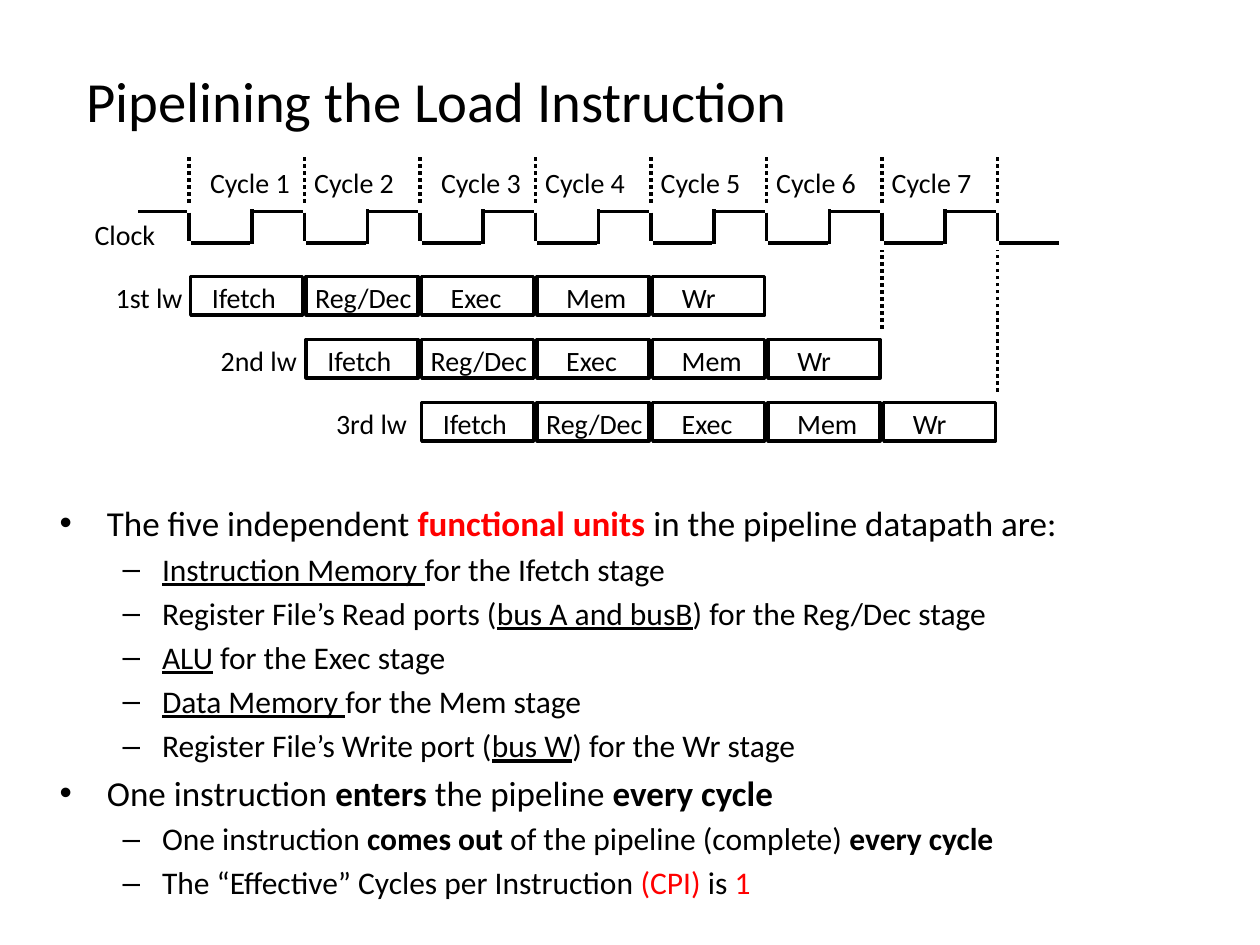
"""Build the slide on pipelining the load instruction."""
from lxml.etree import SubElement
from pptx import Presentation
from pptx.dml.color import RGBColor as Rgb
from pptx.enum.dml import MSO_LINE as Dash
from pptx.enum.shapes import MSO_CONNECTOR as Conn, MSO_SHAPE as Shape
from pptx.enum.text import MSO_ANCHOR as Anchor, MSO_AUTO_SIZE as Fit, PP_ALIGN as Align
from pptx.oxml.ns import qn
from pptx.util import Pt

FONT = "Calibri"
HUES = {"ink": "000000", "red": "FF0000"}
START, STEP, DROP = 108, 66, 36
TICKS = 8
STAGES = [("Ifetch", 6, 52), ("Reg/Dec", -1, 71), ("Exec", 10.5, 44),
          ("Mem", 10.5, 50), ("Wr", 10.5, 34)]
LOADS = [("1st lw", 59, 54), ("2nd lw", 119, 60), ("3rd lw", 185, 55.5)]
CYCLES = [5, -1.5, 5, -1.5, -1.5, -1.5, -1.5]
POINTS = [
    (0, [("The five independent ", ""), ("functional units ", "b red"),
         ("in the pipeline datapath are:", "")]),
    (1, [("Instruction Memory ", "u"), ("for the Ifetch stage", "")]),
    (1, [("Register File’s Read ports (", ""), ("bus A and busB", "u"),
         (") for the Reg/Dec stage", "")]),
    (1, [("ALU", "u"), (" for the Exec stage", "")]),
    (1, [("Data Memory ", "u"), ("for the Mem stage", "")]),
    (1, [("Register File’s Write port (", ""), ("bus W", "u"),
         (") for the Wr stage", "")]),
    (0, [("One instruction ", ""), ("enters", "b"), (" the pipeline ", ""),
         ("every cycle", "b")]),
    (1, [("One instruction ", ""), ("comes out ", "b"),
         ("of the pipeline (complete) ", ""), ("every cycle", "b")]),
    (1, [("The “Effective” Cycles per Instruction ", ""), ("(CPI) ", "red"),
         ("is ", ""), ("1", "red")]),
]
LEVELS = [(20, "•", 27, 27), (18, "–", 58.5, 22.5)]


def edge(tick):
    """Return the left edge of a clock cycle."""
    return START + STEP * tick


def add_run(para, text, size, style=""):
    """Add one run with its font, colour and emphasis."""
    run = para.add_run()
    run.text = text
    font = run.font
    marks = style.split()
    font.name, font.size = FONT, Pt(size)
    font.color.rgb = Rgb.from_string(HUES["red" if "red" in marks else "ink"])
    font.bold = "b" in marks
    font.underline = "u" in marks


def add_line(shapes, x1, y1, x2, y2, dash=None):
    """Draw a straight line, dotted on request."""
    line = shapes.add_connector(Conn.STRAIGHT, Pt(x1), Pt(y1), Pt(x2), Pt(y2))
    line.line.color.rgb = Rgb.from_string(HUES["ink"])
    line.line.width = Pt(2)
    if dash:
        line.line.dash_style = dash
    SubElement(line._element.spPr, qn("a:effectLst"))


def add_label(shapes, text, x, y, width):
    """Add a one-line label."""
    frame = shapes.add_textbox(Pt(x), Pt(y), Pt(width), Pt(26.5)).text_frame
    frame.word_wrap = False
    frame.auto_size = Fit.SHAPE_TO_FIT_TEXT
    add_run(frame.paragraphs[0], text, 16)


def add_box(shapes, x, y):
    """Draw the outline of one stage."""
    box = shapes.add_shape(Shape.RECTANGLE, Pt(x), Pt(y), Pt(64), Pt(22))
    box.shadow.inherit = False
    box.fill.background()
    box.line.color.rgb = Rgb.from_string(HUES["ink"])
    box.line.width = Pt(2)


def add_low(shapes, x):
    """Draw the falling edge and low half of a cycle."""
    add_line(shapes, x + 1, 139, x + 35, 139)
    add_line(shapes, x, 121.5, x, 137.5)


def add_high(shapes, x):
    """Draw the high half of a cycle."""
    add_line(shapes, x + 37, 121, x + 65, 121)


def add_clock(shapes):
    """Draw the clock wave with its cycle names and ticks."""
    add_label(shapes, "Clock", 47, 121, 50)
    add_high(shapes, edge(-1))
    for tick, shift in enumerate(CYCLES):
        x = edge(tick)
        wave = shapes.add_group_shape().shapes
        add_low(wave, x)
        add_line(wave, x + 36, 139.5, x + 36, 119.5)
        add_high(wave, x)
        add_label(shapes, f"Cycle {tick + 1}", x + shift, 91, 60.5)
    add_low(shapes, edge(TICKS - 1))
    for tick in range(TICKS):
        add_line(shapes, edge(tick), 116, edge(tick), 89, Dash.ROUND_DOT)
    for tick, end in [(6, 188), (7, 224)]:
        add_line(shapes, edge(tick), end, edge(tick), 143, Dash.ROUND_DOT)


def add_loads(shapes):
    """Draw each load one cycle later than the one above."""
    for row, (name, left, width) in enumerate(LOADS):
        y = 157 + DROP * row
        group = shapes.add_group_shape().shapes
        for col, (stage, shift, span) in enumerate(STAGES):
            x = edge(row + col)
            add_box(group, x + 1, y + 1)
            add_label(group, stage, x + shift, y, span)
        add_label(group, name, left, y, width)


def add_title(slide, text):
    """Place and format the title."""
    title = slide.shapes.title
    title.left, title.top, title.width, title.height = Pt(42), Pt(42.5), Pt(609), Pt(29.5)
    frame = title.text_frame
    frame.auto_size = Fit.NONE
    frame.vertical_anchor = Anchor.MIDDLE
    para = frame.paragraphs[0]
    para.alignment = Align.JUSTIFY
    add_run(para, text, 32.4)


def add_points(shapes):
    """Add the bulleted text."""
    frame = shapes.add_textbox(Pt(27), Pt(283), Pt(645), Pt(251)).text_frame
    frame.word_wrap = True
    for num, (level, runs) in enumerate(POINTS):
        para = frame.add_paragraph() if num else frame.paragraphs[0]
        size, mark, left, hang = LEVELS[level]
        para.level = level
        props = para._p.get_or_add_pPr()
        props.set("marL", str(Pt(left)))
        props.set("indent", str(-Pt(hang)))
        SubElement(props, qn("a:buFont"), typeface="Arial")
        SubElement(props, qn("a:buChar"), char=mark)
        para.space_before = Pt(size / 5 if num else 0)
        for text, style in runs:
            add_run(para, text, size, style)


def main():
    """Build and save the slide."""
    deck = Presentation()
    deck.slide_width, deck.slide_height = Pt(720), Pt(540)
    slide = deck.slides.add_slide(deck.slide_layouts[5])
    add_title(slide, "Pipelining the Load Instruction")
    add_points(slide.shapes)
    add_clock(slide.shapes)
    add_loads(slide.shapes)
    deck.save("out.pptx")


if __name__ == "__main__":
    main()
